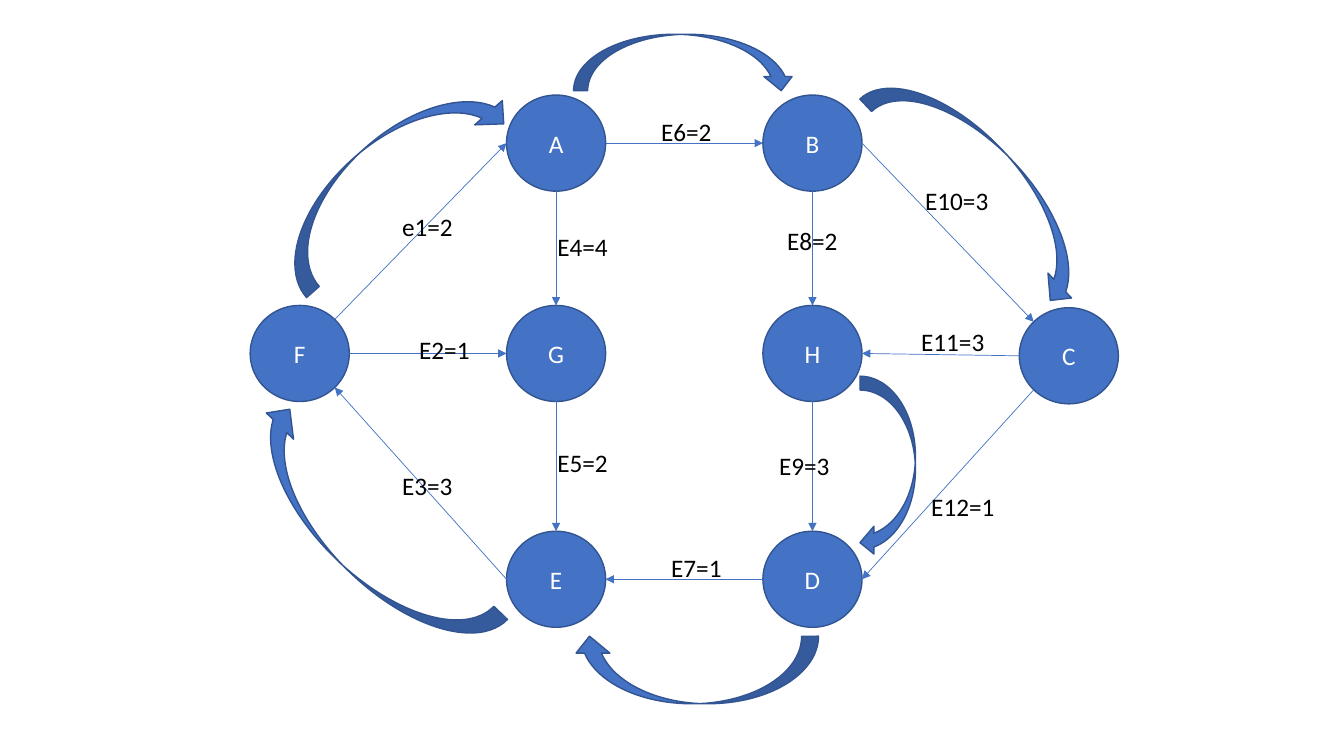
import math

from lxml import etree
from pptx import Presentation
from pptx import util as u
from pptx.dml.color import RGBColor
from pptx.enum import shapes, text
from pptx.oxml.ns import qn

COLORS = {"fill": "4472C4", "outline": "325491", "node text": "FFFFFF", "label": "000000"}
COLUMNS, ROWS = 40, 22.5  # square grid cells over the whole slide
NODE_WIDTH, NODE_HEIGHT = 2.95, 2.86
LABEL_WIDTH, LABEL_HEIGHT = 2.61, 1.2


class GraphSlide:
    """Holds the style and the current slide; lengths are grid columns and rows."""

    font_name, font_size = "Calibri", u.Pt(18)

    def __init__(self, presentation):
        self.slide = presentation.slides.add_slide(presentation.slide_layouts[6])
        self.column = presentation.slide_width / COLUMNS
        self.row = presentation.slide_height / ROWS

    def place(self, x, y):
        return round(x * self.column), round(y * self.row)

    def color(self, name):
        return RGBColor.from_string(COLORS[name])

    def set_text(self, shape, words, color):
        paragraph = shape.text_frame.paragraphs[0]
        paragraph.text = words
        paragraph.font.name, paragraph.font.size = self.font_name, self.font_size
        paragraph.font.color.rgb = self.color(color)
        return paragraph

    def shape(self, kind, center, width, height):
        x, y = center
        shape = self.slide.shapes.add_shape(
            kind, *self.place(x - width / 2, y - height / 2), *self.place(width, height))
        shape.shadow.inherit = False
        shape.fill.solid()
        shape.fill.fore_color.rgb = self.color("fill")
        shape.line.color.rgb = self.color("outline")
        shape.line.width = u.Pt(1)
        return shape

    def node(self, name, center):
        circle = self.shape(shapes.MSO_SHAPE.OVAL, center, NODE_WIDTH, NODE_HEIGHT)
        circle.text_frame.vertical_anchor = text.MSO_ANCHOR.MIDDLE
        self.set_text(circle, name, "node text").alignment = text.PP_ALIGN.CENTER

    def edge(self, start, end):
        connector = self.slide.shapes.add_connector(
            shapes.MSO_CONNECTOR.STRAIGHT, *self.place(*start), *self.place(*end))
        connector.line.color.rgb = self.color("fill")
        connector.line.width = u.Pt(0.5)
        properties = connector.element.find(qn("p:spPr"))
        etree.SubElement(properties.find(qn("a:ln")), qn("a:tailEnd"), type="triangle")
        etree.SubElement(properties, qn("a:effectLst"))

    def label(self, words, x, y):
        box = self.slide.shapes.add_textbox(
            *self.place(x, y), *self.place(LABEL_WIDTH, LABEL_HEIGHT))
        box.text_frame.word_wrap = True
        box.text_frame.auto_size = text.MSO_AUTO_SIZE.SHAPE_TO_FIT_TEXT
        self.set_text(box, words, "label")

    def curved_arrow(self, center, width, height, rotation, thickness):
        arrow = self.shape(shapes.MSO_SHAPE.CURVED_DOWN_ARROW, center, width, height)
        arrow.rotation = rotation
        arrow.adjustments[0] = thickness


# Node centres: four even columns, three rows
node_columns = [8.92 + 7.63 * index for index in range(4)]
top, middle, bottom = 4.26, 10.52, 17.24
nodes = {
    "A": (node_columns[1], top),
    "F": (node_columns[0], middle),
    "G": (node_columns[1], middle),
    "H": (node_columns[2], middle),
    "B": (node_columns[2], top),
    "C": (node_columns[3], middle + 0.07),
    "D": (node_columns[2], bottom),
    "E": (node_columns[1], bottom),
}

# Angles on a node's rim, clockwise from the right
RIGHT, LOWER_RIGHT, DOWN, LOWER_LEFT, LEFT, UPPER_LEFT, UP, UPPER_RIGHT = range(0, 360, 45)


def rim(name, angle):
    x, y = nodes[name]
    turn = math.radians(angle)
    return x + NODE_WIDTH / 2 * math.cos(turn), y + NODE_HEIGHT / 2 * math.sin(turn)


# From node and side, to node and side, label and its top left corner
edges = [
    ("F", UPPER_RIGHT, "A", LEFT, "e1=2", 11.67, 6.15),
    ("F", RIGHT, "G", LEFT, "E2=1", 12.18, 9.81),
    ("E", LEFT, "F", LOWER_RIGHT, "E3=3", 11.67, 13.86),
    ("A", DOWN, "G", UP, "E4=4", 16.29, 6.75),
    ("G", DOWN, "E", UP, "E5=2", 16.29, 13.17),
    ("A", RIGHT, "B", LEFT, "E6=2", 19.38, 3.3),
    ("D", LEFT, "E", RIGHT, "E7=1", 19.68, 16.29),
    ("B", DOWN, "H", UP, "E8=2", 23.13, 6.57),
    ("H", DOWN, "D", UP, "E9=3", 22.89, 13.26),
    ("B", RIGHT, "C", UPPER_LEFT, "E10=3", 27.24, 5.37),
    ("C", LEFT, "H", RIGHT, "E11=3", 27.12, 9.57),
    ("C", LOWER_LEFT, "D", RIGHT, "E12=1", 27.42, 14.49),
]

# Route arrows: centre, width, height, rotation, thickness
route = [
    ((26.42, 13.88), 5.37, 1.65, 90, 0.25),  # H to D
    ((20.7, 19.94), 7.32, 2.01, 180, 0.25),  # D to E
    ((10.88, 15.92), 9.57, 2.25, 224, 0.25),  # E to F
    ((11.54, 5.27), 8.37, 2.19, 318.6, 0.23),  # F to A
    ((20.37, 1.86), 6.6, 1.68, 0, 0.25),  # A to B
    ((29.34, 5.43), 8.76, 2.04, 46.6, 0.25),  # B to C
]

presentation = Presentation()
presentation.slide_width, presentation.slide_height = u.Inches(13.33), u.Inches(7.5)
graph = GraphSlide(presentation)

# Nodes, edges, labels, then the route on top
for name, center in nodes.items():
    graph.node(name, center)
for source, source_side, target, target_side, *_ in edges:
    graph.edge(rim(source, source_side), rim(target, target_side))
for *_, words, x, y in edges:
    graph.label(words, x, y)
for arrow in route:
    graph.curved_arrow(*arrow)

presentation.save("out.pptx")
